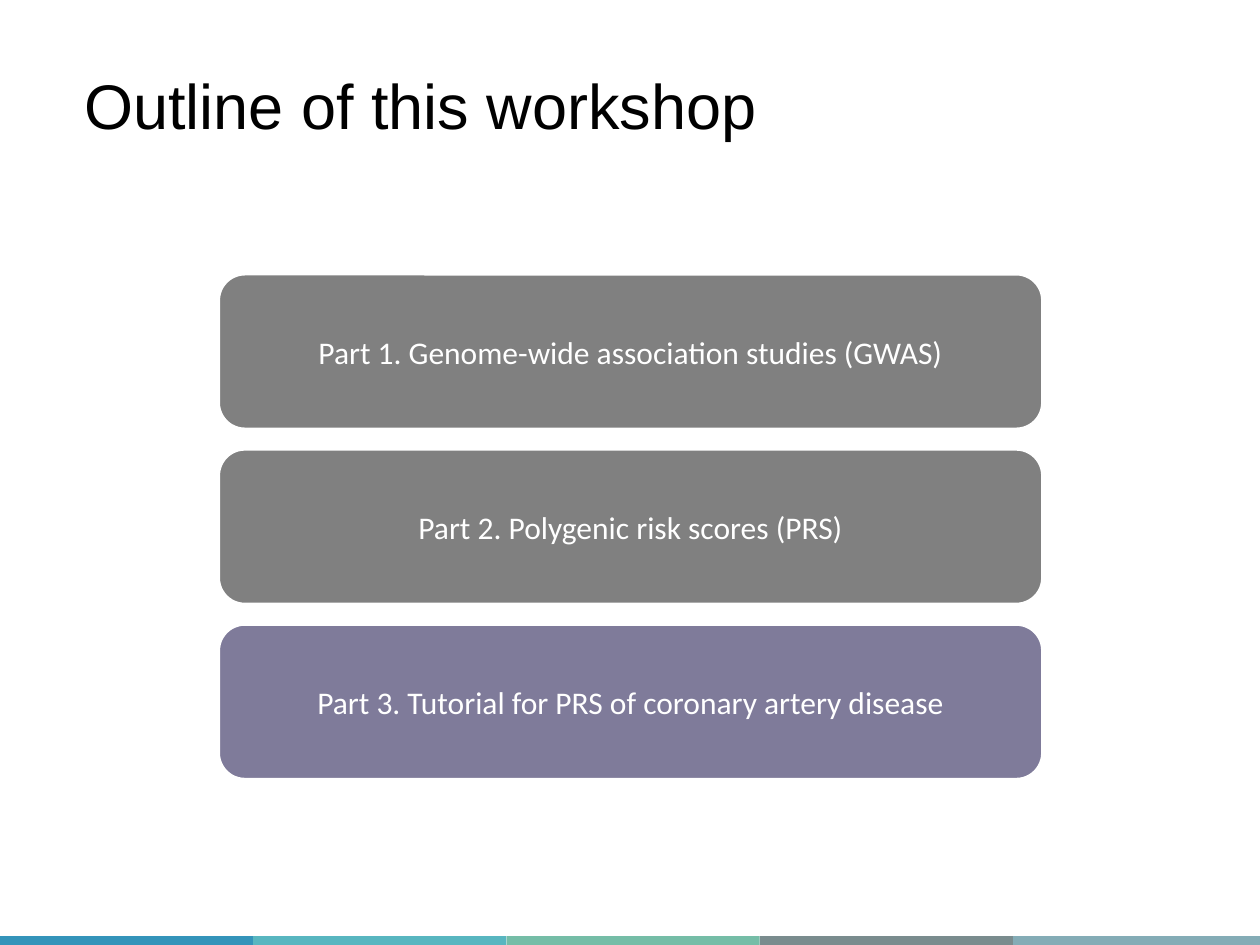
from dataclasses import dataclass

from pptx import Presentation
from pptx.dml.color import RGBColor as RGB
from pptx.enum.shapes import MSO_SHAPE as Shape
from pptx.enum.text import MSO_ANCHOR as Anchor, PP_ALIGN as Align
from pptx.util import Inches, Pt


@dataclass(frozen=True)
class Theme:
    black: str = "000000"
    white: str = "FFFFFF"
    gray: str = "808080"
    accent: str = "7F7B9A"
    strip: tuple = ("3494BA", "58B6C0", "75BDA7", "7A8C8E", "84ACB6")
    head: tuple = ("Arial", 36)
    body: tuple = ("Calibri", 18)


class Deck:
    """Holds the theme and the current slide; lengths are inches on the slide."""

    def __init__(self, theme, width=10, height=7.5):
        self.theme = theme
        self.prs = Presentation()
        self.prs.slide_width = Inches(width)
        self.prs.slide_height = Inches(height)
        self.slide = self.prs.slides.add_slide(self.prs.slide_layouts[5])

    def place(self, item, box):
        for name, size in zip(("left", "top", "width", "height"), box):
            setattr(item, name, Inches(size))

    def label(self, item, text, face, color, align):
        frame = item.text_frame
        frame.text = text
        look = {"word_wrap": True, "vertical_anchor": Anchor.MIDDLE,
                "margin_left": Inches(0.1), "margin_right": Inches(0.1),
                "margin_top": Inches(0.05), "margin_bottom": Inches(0.05)}
        for name, value in look.items():
            setattr(frame, name, value)
        para = frame.paragraphs[0]
        para.alignment = align
        font = para.runs[0].font
        font.name, font.size = face[0], Pt(face[1])
        font.color.rgb = RGB.from_string(color)
        return para

    def title(self, text, box):
        item = self.slide.shapes.title
        self.place(item, box)
        para = self.label(item, text, self.theme.head, self.theme.black, Align.LEFT)
        para.line_spacing = 0.9

    def block(self, kind, box, fill):
        item = self.slide.shapes.add_shape(kind, *map(Inches, box))
        item.shadow.inherit = False
        item.fill.solid()
        item.fill.fore_color.rgb = RGB.from_string(fill)
        item.line.fill.background()
        return item

    def strip(self, top, width, height):
        for col, fill in enumerate(self.theme.strip):
            self.block(Shape.RECTANGLE, (col * width, top, width, height), fill)

    def card(self, text, box, fill):
        item = self.block(Shape.ROUNDED_RECTANGLE, box, fill)
        item.line.color.rgb = RGB.from_string(self.theme.white)
        item.line.width = Pt(1)
        self.label(item, text, self.theme.body, self.theme.white, Align.CENTER)

    def cards(self, rows, box, pitch):
        """Stack one card per row, with their tops a pitch apart."""
        left, top, width, height = box
        for row, (text, fill) in enumerate(rows):
            self.card(text, (left, top + row * pitch, width, height), fill)


def main():
    theme = Theme()
    deck = Deck(theme)
    deck.strip(top=7.43, width=2.01, height=0.1)
    deck.title("Outline of this workshop", (0.57, 0.26, 8.74, 1.22))
    parts = (
        ("Part 1. Genome-wide association studies (GWAS)", theme.gray),
        ("Part 2. Polygenic risk scores (PRS)", theme.gray),
        ("Part 3. Tutorial for PRS of coronary artery disease", theme.accent),
    )
    deck.cards(parts, (1.74, 2.18, 6.53, 1.22), pitch=1.39)
    deck.prs.save("out.pptx")


if __name__ == "__main__":
    main()
